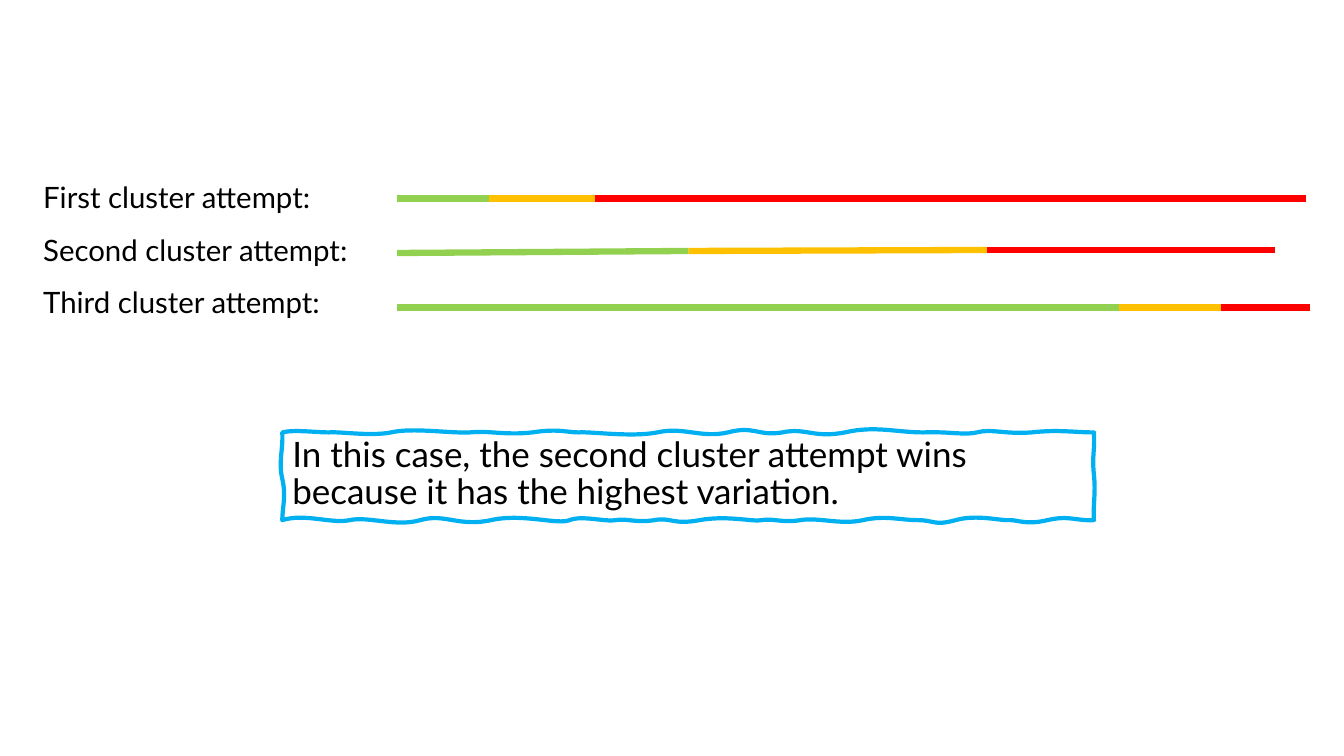
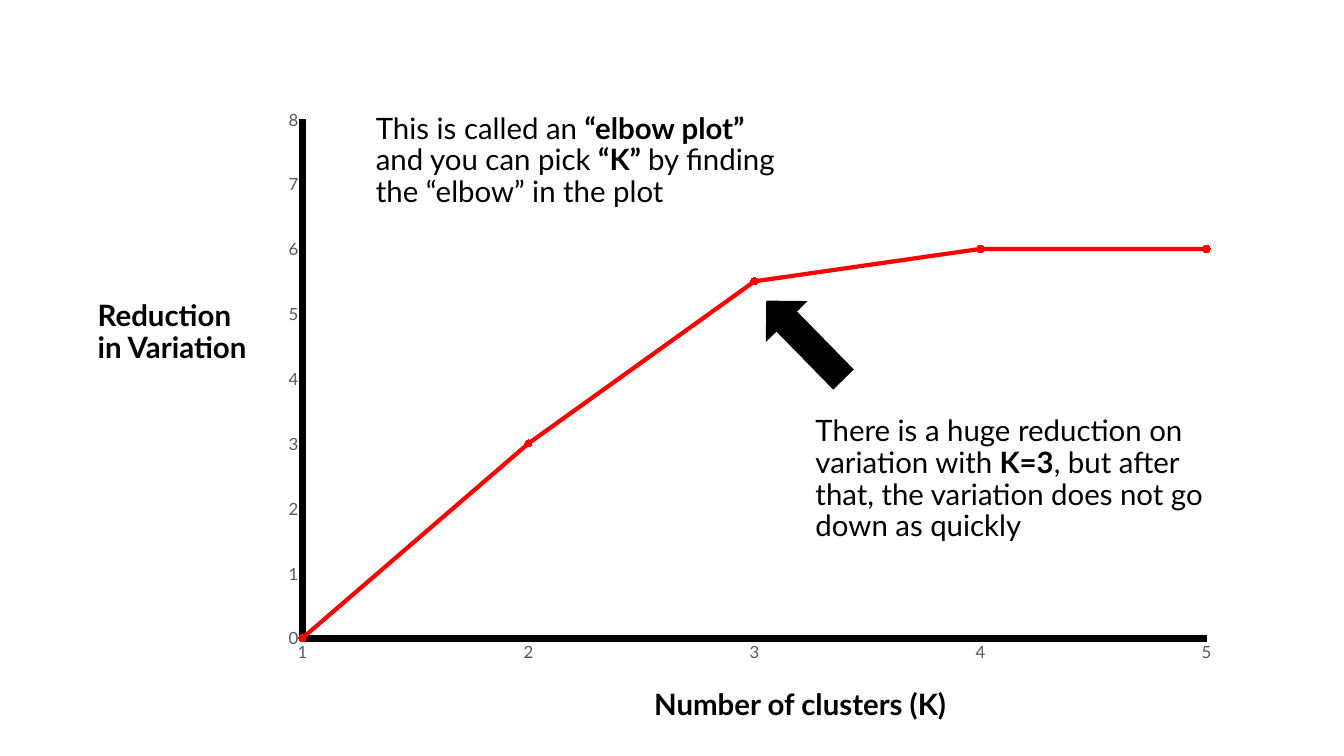
from lxml.etree import SubElement
from pptx import Presentation
from pptx.chart.data import XyChartData
from pptx.dml.color import RGBColor
from pptx.enum.chart import XL_CHART_TYPE, XL_MARKER_STYLE, XL_TICK_MARK
from pptx.enum.shapes import MSO_CONNECTOR, MSO_SHAPE
from pptx.enum.text import MSO_ANCHOR, PP_ALIGN
from pptx.oxml.ns import qn
from pptx.util import Inches, Pt

FONT = "Lato"
COLORS = {
    "text": "000000",
    "axis_label": "595959",
    "green": "92D050",
    "amber": "FFC000",
    "red": "FF0000",
    "blue": "00B0F0",
}

# Waves of the callout's edges: two control points and an end point, each
# given along the edge, with the control points' offsets across it.
TOP_WAVES = [
    (0.11, -0.03, 0.34, 0, 0.46), (0.58, -0.01, 0.87, 0.04, 1.08),
    (1.29, -0.05, 1.66, 0.01, 1.86), (2.05, -0.02, 2.21, 0.03, 2.48),
    (2.74, -0.04, 2.82, 0, 2.94), (3.06, -0.01, 3.46, 0.05, 3.72),
    (3.98, -0.06, 4.15, 0.06, 4.42), (4.68, -0.07, 4.72, 0.04, 4.96),
    (5.19, -0.05, 5.27, 0.06, 5.58), (5.88, -0.07, 6.09, 0, 6.36),
    (6.63, -0.01, 6.76, 0.03, 6.89), (7.03, -0.04, 7.16, 0.02, 7.43),
    (7.7, -0.03, 7.86, 0, 8.05),
]
RIGHT_WAVES = [(0.2, 0.01, 0.22, -0.02, 0.42), (0.62, 0.02, 0.7, -0.01, 0.87)]
BOTTOM_WAVES = [
    (7.87, 0.01, 7.81, -0.05, 7.59), (7.38, 0.05, 7.3, 0, 7.22),
    (7.13, 0.01, 6.89, -0.06, 6.68), (6.46, 0.06, 6.47, 0, 6.3),
    (6.13, 0, 5.98, -0.05, 5.76), (5.54, 0.05, 5.32, -0.03, 5.14),
    (4.96, 0.03, 4.86, -0.02, 4.76), (4.67, 0.02, 4.42, -0.05, 4.14),
    (3.87, 0.05, 3.86, -0.03, 3.69), (3.51, 0.03, 3.41, -0.02, 3.31),
    (3.21, 0.02, 2.97, -0.05, 2.85), (2.73, 0.05, 2.39, -0.07, 2.07),
    (1.75, 0.07, 1.61, -0.07, 1.37), (1.13, 0.07, 0.85, -0.04, 0.67),
    (0.49, 0.04, 0.23, -0.07, 0),
]
LEFT_WAVES = [(0.75, 0, 0.63, 0.04, 0.46), (0.29, -0.04, 0.17, 0.01, 0)]

# Label, then the ends of the green, amber and red parts.
ATTEMPTS = [
    ("First cluster attempt:",
     [(3.94, 1.97), (4.85, 1.97), (5.9, 1.97), (12.95, 1.97)]),
    ("Second cluster attempt:",
     [(3.94, 2.51), (6.83, 2.49), (9.79, 2.48), (12.65, 2.48)]),
    ("Third cluster attempt:",
     [(3.94, 3.05), (11.1, 3.05), (12.11, 3.05), (12.99, 3.05)]),
]


def rgb(name):
    return RGBColor.from_string(COLORS[name])


def write_text(frame, runs, size=21, bold=False, color="text"):
    """Fill a frame with a string, or with (text, bold) runs."""
    frame.word_wrap = True
    paragraph = frame.paragraphs[0]
    paragraph.alignment = PP_ALIGN.LEFT
    paragraph.line_spacing = 0.9
    paragraph.space_before = Pt(10)
    for text, run_bold in [(runs, bold)] if isinstance(runs, str) else runs:
        run = paragraph.add_run()
        run.text = text
        run.font.name = FONT
        run.font.size = Pt(size)
        run.font.bold = run_bold
        run.font.color.rgb = rgb(color)


def add_text(slide, box, runs, **text_format):
    textbox = slide.shapes.add_textbox(*map(Inches, box))
    write_text(textbox.text_frame, runs, **text_format)


def set_line(line, color, width):
    line.color.rgb = rgb(color)
    line.width = Pt(width)


def add_line(slide, start, end, color, width):
    connector = slide.shapes.add_connector(
        MSO_CONNECTOR.STRAIGHT, *map(Inches, (*start, *end)))
    set_line(connector.line, color, width)
    SubElement(connector.element.spPr, qn("a:effectLst"))


def wave_points(waves, baseline, vertical=False):
    """List control and end points of the waves along one edge."""
    points = []
    for along1, across1, along2, across2, end in waves:
        for along, across in ((along1, across1), (along2, across2), (end, 0)):
            point = (along, baseline + across)
            points.append(point[::-1] if vertical else point)
    return points


def curve_outline(shape):
    """Turn each three straight segments of a freeform into one curve."""
    path = shape.element.spPr.find(".//" + qn("a:path"))
    segments = path.findall(qn("a:lnTo"))
    for first in range(0, len(segments), 3):
        curve = SubElement(path, qn("a:cubicBezTo"))
        segments[first].addprevious(curve)
        for segment in segments[first:first + 3]:
            curve.append(segment[0])
            path.remove(segment)


def add_wavy_callout(slide, box, text):
    left, top, width, height = box
    outline = (wave_points(TOP_WAVES, 0)
               + wave_points(RIGHT_WAVES, width, vertical=True)
               + wave_points(BOTTOM_WAVES, height)
               + wave_points(LEFT_WAVES, 0, vertical=True))
    builder = slide.shapes.build_freeform(Inches(left), Inches(top))
    builder.add_line_segments(
        [(Inches(left + x), Inches(top + y)) for x, y in outline])
    callout = builder.convert_to_shape()
    curve_outline(callout)
    callout.shadow.inherit = False
    callout.fill.background()
    set_line(callout.line, "blue", 3)
    frame = callout.text_frame
    frame.vertical_anchor = MSO_ANCHOR.MIDDLE
    frame.margin_left = Inches(0.14)
    frame.margin_bottom = Inches(0.08)
    write_text(frame, text, size=25)


def add_label(slide, box, text):
    label = slide.shapes.add_shape(MSO_SHAPE.RECTANGLE, *map(Inches, box))
    label.shadow.inherit = False
    label.fill.background()
    label.line.fill.background()
    label.text_frame.vertical_anchor = MSO_ANCHOR.TOP
    write_text(label.text_frame, text)


def add_attempt(slide, box, text, points):
    add_label(slide, box, text)
    for color, start, end in zip(("green", "amber", "red"), points, points[1:]):
        add_line(slide, start, end, color, 4.5)


def format_axis(axis, low, high):
    axis.minimum_scale, axis.maximum_scale, axis.major_unit = low, high, 1
    axis.has_major_gridlines = False
    axis.major_tick_mark = axis.minor_tick_mark = XL_TICK_MARK.NONE
    set_line(axis.format.line, "text", 5)
    font = axis.tick_labels.font
    font.name = FONT
    font.size = Pt(12)
    font.color.rgb = rgb("axis_label")


def set_plot_layout(chart, **fractions):
    plot_area = chart.element.find(".//" + qn("c:plotArea"))
    for old_layout in plot_area.findall(qn("c:layout")):
        plot_area.remove(old_layout)
    layout = SubElement(plot_area, qn("c:layout"))
    plot_area.insert(0, layout)
    manual = SubElement(layout, qn("c:manualLayout"))
    settings = {"layoutTarget": "inner", "xMode": "edge", "yMode": "edge"}
    for name, value in {**settings, **fractions}.items():
        SubElement(manual, qn("c:" + name)).set("val", str(value))


def add_elbow_chart(slide, box):
    data = XyChartData()
    points = data.add_series("Series 1")
    for clusters, reduction in enumerate((0, 3, 5.5, 6, 6), start=1):
        points.add_data_point(clusters, reduction)
    chart = slide.shapes.add_chart(
        XL_CHART_TYPE.XY_SCATTER_LINES, *map(Inches, box), data).chart
    chart.has_legend = False
    chart.has_title = False
    chart.font.name = FONT
    chart.font.size = Pt(10)
    chart.font.color.rgb = rgb("text")
    chart.plots[0].vary_by_categories = False
    format_axis(chart.category_axis, 1, 5)
    format_axis(chart.value_axis, 0, 8)
    set_plot_layout(chart, x=0.04, y=0.018, w=0.945, h=0.9)

    series = chart.plots[0].series[0]
    series.smooth = False
    set_line(series.format.line, "red", 3)
    marker = series.marker
    marker.style = XL_MARKER_STYLE.CIRCLE
    marker.size = 5
    marker.format.fill.solid()
    marker.format.fill.fore_color.rgb = rgb("red")
    marker.format.line.fill.background()


def add_elbow_arrow(slide, box):
    arrow = slide.shapes.add_shape(MSO_SHAPE.UP_ARROW, *map(Inches, box))
    arrow.rotation = 315.6
    arrow.shadow.inherit = False
    arrow.fill.solid()
    arrow.fill.fore_color.rgb = rgb("text")
    set_line(arrow.line, "text", 1.5)
    outline = arrow.element.spPr.find(qn("a:ln"))
    SubElement(outline, qn("a:miter")).set("lim", "800000")


def build_attempts_slide(slide):
    for row, (text, points) in enumerate(ATTEMPTS):
        add_attempt(slide, (0.33, 1.77 + 0.52 * row, 3.47, 0.4), text, points)
    add_wavy_callout(
        slide, (2.8, 4.29, 8.05, 0.87),
        "In this case, the second cluster attempt wins "
        "because it has the highest variation.")


def build_elbow_slide(slide):
    add_elbow_chart(slide, (2.62, 1.08, 9.49, 5.72))
    add_text(slide, (6.39, 6.8, 3.2, 0.51), "Number of clusters (K)", bold=True)
    add_text(slide, (0.87, 2.94, 1.75, 1.14), "Reduction in Variation", bold=True)
    add_text(slide, (7.99, 4.08, 4.36, 1.38), [
        ("There is a huge reduction on variation with", False),
        (" K=3", True),
        (", but after that, the variation does not go down as quickly", False),
    ])
    add_elbow_arrow(slide, (7.72, 2.84, 0.53, 1.07))
    add_text(slide, (3.63, 1.08, 4.36, 1.38), [
        ("This is called an ", False),
        ("“elbow plot” ", True),
        ("and you can pick ", False),
        ("“K” ", True),
        ("by finding the “elbow” in the plot", False),
    ])


def main():
    presentation = Presentation()
    presentation.slide_width = Inches(13.33)
    presentation.slide_height = Inches(7.5)
    blank_layout = presentation.slide_layouts[6]
    for build_slide in (build_attempts_slide, build_elbow_slide):
        build_slide(presentation.slides.add_slide(blank_layout))
    presentation.save("out.pptx")


if __name__ == "__main__":
    main()
